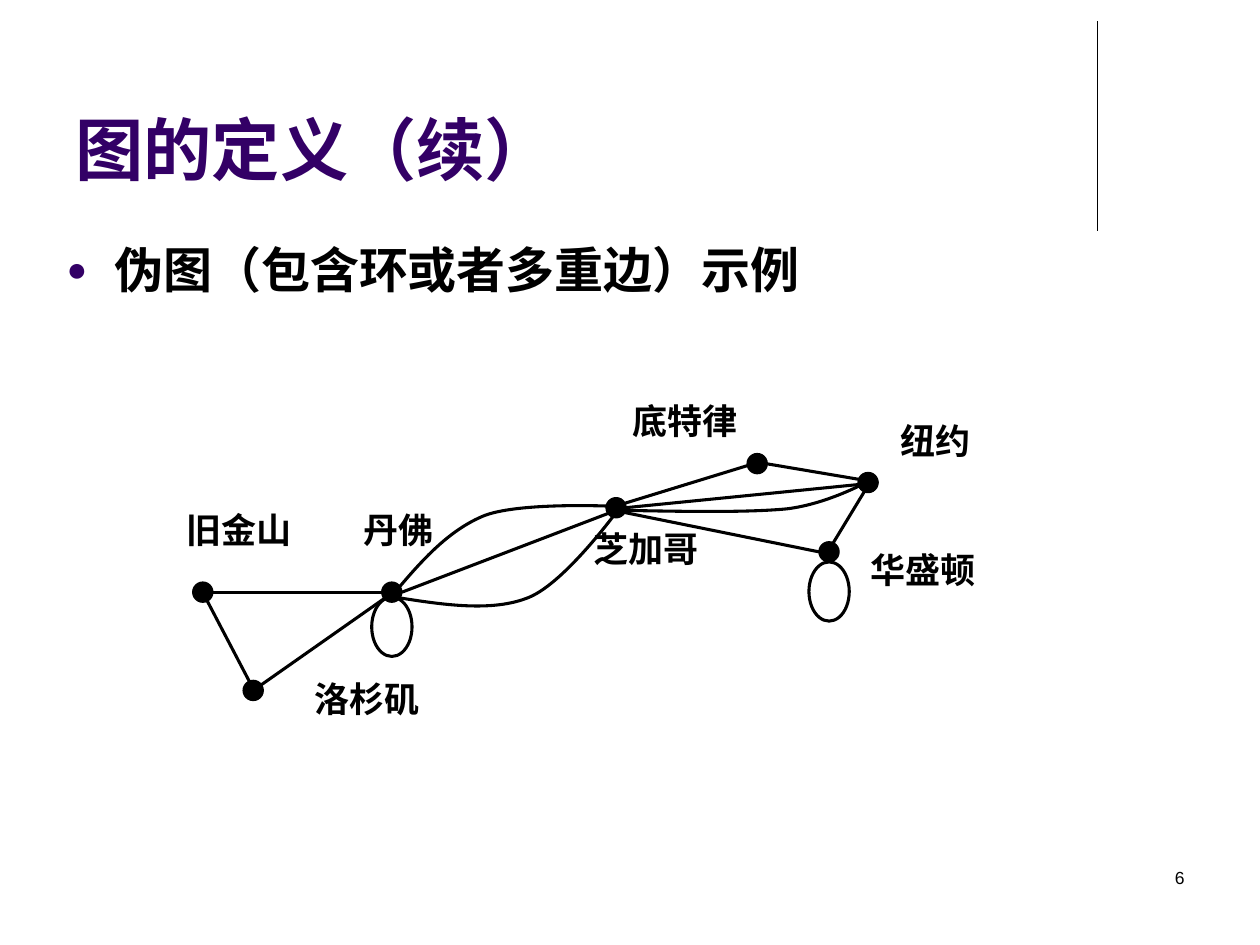
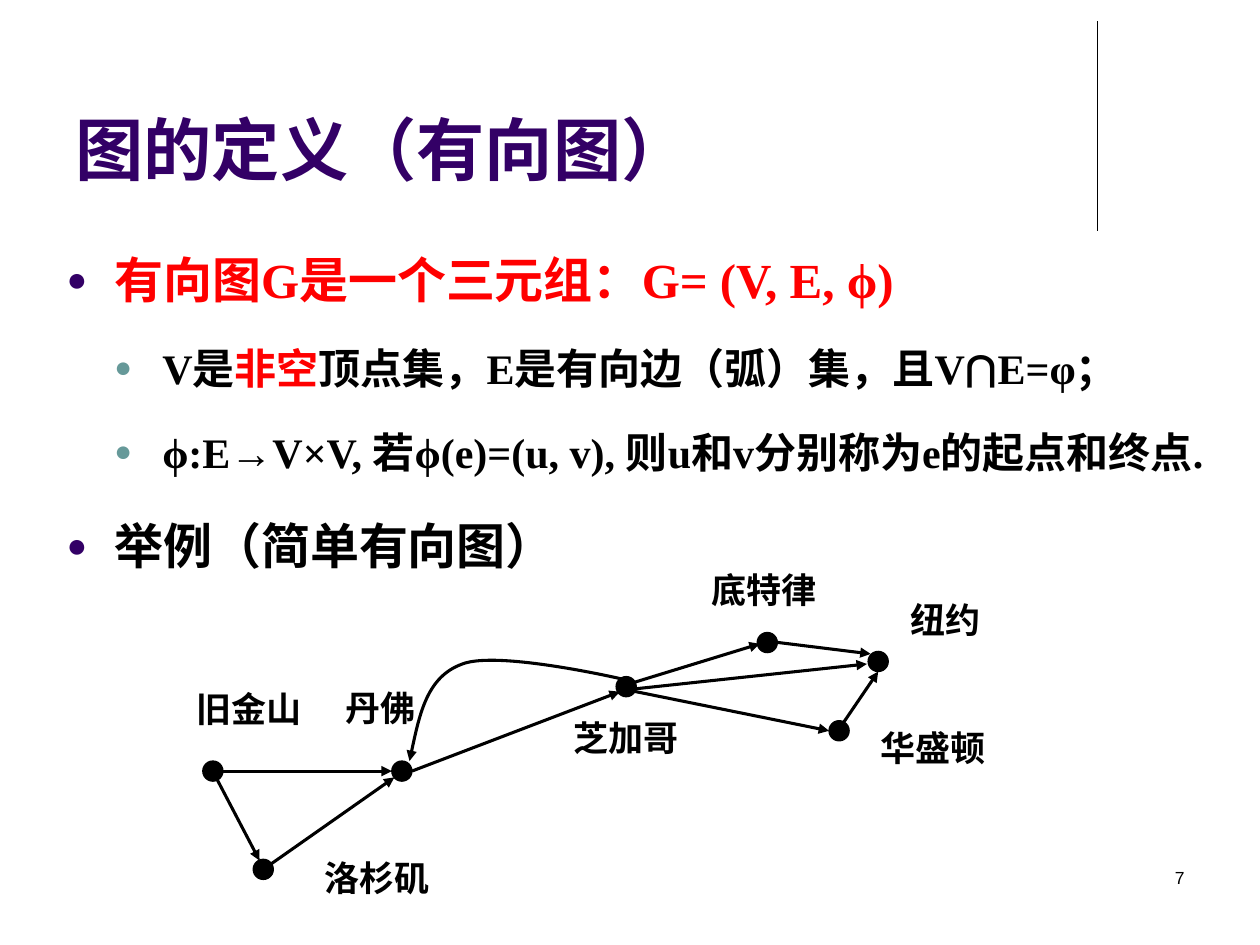
"""Build two slides that show an undirected and a directed graph of cities."""
import dataclasses
import typing

import lxml.etree
import pptx
import pptx.dml.color
import pptx.enum.shapes
import pptx.enum.text
import pptx.oxml.ns
import pptx.util

PX = 9144
SHAPE = pptx.enum.shapes.MSO_SHAPE
ALIGN = pptx.enum.text.PP_ALIGN
ANCHOR = pptx.enum.text.MSO_ANCHOR
qn = pptx.oxml.ns.qn
Point = tuple[int, int]
Edge = tuple[Point, Point]


@dataclasses.dataclass(frozen=True)
class Theme:
    ink: str = "000000"
    title: str = "330066"
    alert: str = "FF0000"
    bullets: tuple[str, str] = ("330066", "669999")
    sans: str = "Arial"
    serif: str = "Times New Roman"
    title_size: int = 39
    body_sizes: tuple[int, int] = (28, 24)
    label_size: int = 20
    page_size: int = 10
    thin: float = 0.75
    thick: float = 1.75


THEME = Theme()


class Box(typing.NamedTuple):
    left: int
    top: int
    width: int
    height: int


class Run(typing.NamedTuple):
    text: str
    color: str = THEME.ink


class Item(typing.NamedTuple):
    level: int
    runs: tuple[Run, ...]


class Label(typing.NamedTuple):
    text: str
    left: int
    top: int


class Curve(typing.NamedTuple):
    points: tuple[Point, ...]
    arrow: str = ""


@dataclasses.dataclass(frozen=True)
class Page:
    number: int
    title: str
    body: Box
    items: tuple[Item, ...]
    shift: Point
    labels: tuple[Label, ...]
    edges: tuple[Edge, ...]
    curves: tuple[Curve, ...]
    loops: tuple[Box, ...] = ()
    arrow: str = ""


DOT = 16
NODES = ((153, 462), (193, 540), (303, 462), (481, 395), (681, 375), (593, 360), (650, 430))
SHARED_EDGES = (
    ((169, 470), (303, 470)),
    ((319, 470), (484, 407)),
    ((164, 476), (198, 541)),
    ((201, 548), (305, 475)),
    ((494, 400), (595, 369)),
    ((492, 406), (650, 438)),
)

PAGES = (
    Page(
        number=6,
        title="图的定义（续）",
        body=Box(43, 162, 930, 110),
        items=(Item(0, (Run("伪图（包含环或者多重边）示例"),)),),
        shift=(0, 0),
        labels=(
            Label("洛杉矶", 240, 533), Label("旧金山", 138, 399),
            Label("丹佛", 279, 399), Label("芝加哥", 461, 414),
            Label("华盛顿", 681, 430), Label("纽约", 705, 328),
            Label("底特律", 492, 312),
        ),
        edges=(
            ((602, 367), (697, 383)),
            ((657, 438), (694, 377)),
            ((486, 404), (697, 383)),
        ),
        curves=(
            Curve(((311, 473), (333, 447), (355, 421), (385, 409),
                   (415, 398), (491, 402), (491, 402))),
            Curve(((314, 474), (352, 480), (391, 486), (420, 474),
                   (449, 462), (491, 404), (491, 404))),
            Curve(((489, 405), (540, 406), (591, 407), (624, 404),
                   (658, 400), (691, 381), (691, 381))),
        ),
        loops=(Box(295, 474, 32, 47), Box(642, 446, 32, 47)),
    ),
    Page(
        number=7,
        title="图的定义（有向图）",
        body=Box(43, 170, 937, 291),
        items=(
            Item(0, (Run("有向图G是一个三元组：G= (V, E, ϕ)", THEME.alert),)),
            Item(1, (Run("V是"), Run("非空", THEME.alert),
                     Run("顶点集，E是有向边（弧）集，且V⋂E=φ；"))),
            Item(1, (Run("ϕ:E→V×V, 若ϕ(e)=(u, v), 则u和v分别称为e的起点和终点."),)),
            Item(0, (Run("举例（简单有向图）"),)),
        ),
        shift=(8, 142),
        labels=(
            Label("洛杉矶", 248, 675), Label("旧金山", 146, 541),
            Label("丹佛", 264, 540), Label("芝加哥", 445, 564),
            Label("华盛顿", 689, 572), Label("纽约", 713, 470),
            Label("底特律", 555, 446),
        ),
        edges=(
            ((610, 509), (691, 519)),
            ((665, 580), (697, 533)),
            ((492, 548), (688, 527)),
        ),
        curves=(
            Curve(((325, 604), (332, 571), (339, 537), (367, 527),
                   (395, 516), (494, 539), (494, 539)), "a:headEnd"),
        ),
        arrow="a:tailEnd",
    ),
)


def paint(color: str) -> pptx.dml.color.RGBColor:
    return pptx.dml.color.RGBColor.from_string(color)


def scale(values: typing.Iterable[int]) -> list[int]:
    return [value * PX for value in values]


def move(point: Point, shift: Point) -> Point:
    return point[0] + shift[0], point[1] + shift[1]


def write(para, text: str, *, size: int, font: str = THEME.sans,
          color: str = THEME.ink, bold: bool = True) -> None:
    run = para.add_run()
    run.text = text
    run.font.size = pptx.util.Pt(size)
    run.font.name = font
    run.font.bold = bold
    run.font.color.rgb = paint(color)
    run.font._element.set("lang", "zh-CN")


def frame(slide, box: Box, anchor=ANCHOR.TOP):
    text = slide.shapes.add_textbox(*scale(box)).text_frame
    text.word_wrap = True
    text.vertical_anchor = anchor
    return text


def stroke(line, width: float, arrow: str = "") -> None:
    line.color.rgb = paint(THEME.ink)
    line.width = pptx.util.Pt(width)
    if arrow:
        lxml.etree.SubElement(line._get_or_add_ln(), qn(arrow), type="triangle")


def link(slide, edge: Edge, width: float, arrow: str = "") -> None:
    start, end = edge
    line = slide.shapes.add_connector(
        pptx.enum.shapes.MSO_CONNECTOR.STRAIGHT, *scale(start + end))
    stroke(line.line, width, arrow)
    lxml.etree.SubElement(line._element.spPr, qn("a:effectLst"))


def shape(slide, kind, box: Box, *, fill: str = "", width: float = 0):
    item = slide.shapes.add_shape(kind, *scale(box))
    item.shadow.inherit = False
    if fill:
        item.fill.solid()
        item.fill.fore_color.rgb = paint(fill)
    else:
        item.fill.background()
    if width:
        stroke(item.line, width)
    else:
        item.line.fill.background()
    return item


def bend(slide, curve: Curve) -> None:
    first, *rest = [tuple(scale(point)) for point in curve.points]
    pen = slide.shapes.build_freeform(*first)
    pen.add_line_segments(rest, close=False)
    item = pen.convert_to_shape()
    item.shadow.inherit = False
    item.fill.background()
    stroke(item.line, THEME.thick, curve.arrow)
    track = next(item._element.iter(qn("a:path")))
    steps = track.findall(qn("a:lnTo"))
    for start in range(0, len(steps), 3):
        cubic = lxml.etree.SubElement(track, qn("a:cubicBezTo"))
        for step in steps[start:start + 3]:
            cubic.append(step[0])
            track.remove(step)


def bullet(para, level: int) -> None:
    para.level = level
    props = para._p.get_or_add_pPr()
    props.set("marL", str(38 * (level + 1) * PX))
    props.set("indent", str(-38 * PX))
    color = lxml.etree.SubElement(props, qn("a:buClr"))
    lxml.etree.SubElement(color, qn("a:srgbClr"), val=THEME.bullets[level])
    lxml.etree.SubElement(props, qn("a:buSzPct"), val="70000")
    lxml.etree.SubElement(props, qn("a:buFont"), typeface=THEME.sans)
    lxml.etree.SubElement(props, qn("a:buChar"), char="●")


def list_items(slide, page: Page) -> None:
    text = frame(slide, page.body)
    for index, item in enumerate(page.items):
        para = text.add_paragraph() if index else text.paragraphs[0]
        size = THEME.body_sizes[item.level]
        para.alignment = ALIGN.JUSTIFY
        para.line_spacing = 1.5
        para.space_before = pptx.util.Pt(size * 0.2)
        bullet(para, item.level)
        for run in item.runs:
            write(para, run.text, size=size, font=THEME.serif, color=run.color)


def draw_graph(slide, page: Page) -> None:
    for node in NODES:
        shape(slide, SHAPE.FLOWCHART_CONNECTOR, Box(*move(node, page.shift), DOT, DOT),
              fill=THEME.ink, width=THEME.thin)
    shared = tuple((move(a, page.shift), move(b, page.shift)) for a, b in SHARED_EDGES)
    for edge in shared + page.edges:
        link(slide, edge, THEME.thick, page.arrow)
    for label in page.labels:
        item = shape(slide, SHAPE.RECTANGULAR_CALLOUT, Box(label.left, label.top, 110, 55))
        text = item.text_frame
        text.word_wrap = False
        text.vertical_anchor = ANCHOR.TOP
        text.paragraphs[0].alignment = ALIGN.LEFT
        write(text.paragraphs[0], label.text, size=THEME.label_size)
    for curve in page.curves:
        bend(slide, curve)
    for loop in page.loops:
        shape(slide, SHAPE.OVAL, loop, width=THEME.thick)


def draw_page(deck, page: Page) -> None:
    slide = deck.slides.add_slide(deck.slide_layouts[6])
    link(slide, ((871, 17), (871, 183)), THEME.thin)
    title = frame(slide, Box(50, 13, 825, 142), ANCHOR.BOTTOM)
    write(title.paragraphs[0], page.title, size=THEME.title_size, color=THEME.title)
    list_items(slide, page)
    draw_graph(slide, page)
    foot = frame(slide, Box(717, 683, 233, 50)).paragraphs[0]
    foot.alignment = ALIGN.RIGHT
    write(foot, str(page.number), size=THEME.page_size, bold=False)


def main() -> None:
    deck = pptx.Presentation()
    deck.slide_width, deck.slide_height = scale((1000, 750))
    for page in PAGES:
        draw_page(deck, page)
    deck.save("out.pptx")


if __name__ == "__main__":
    main()
